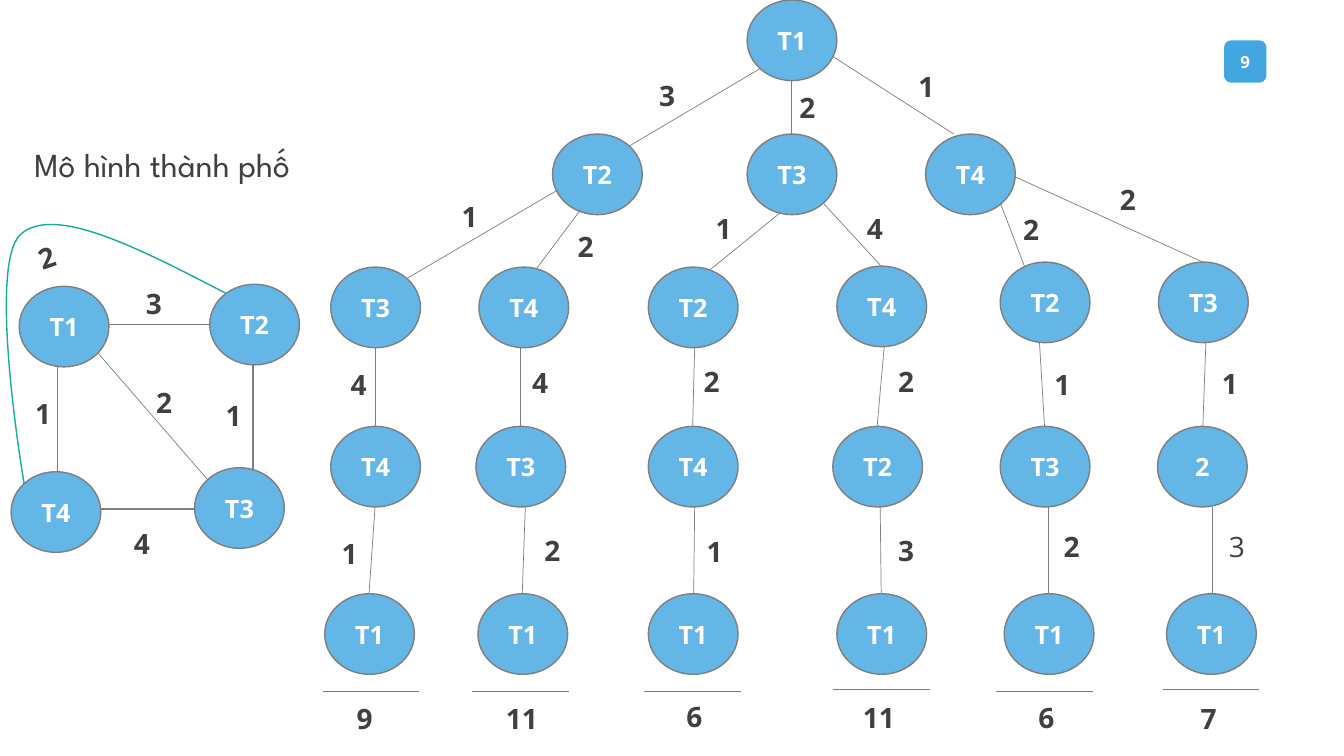
from lxml import etree
from pptx import Presentation
from pptx.dml.color import RGBColor
from pptx.enum.shapes import MSO_CONNECTOR, MSO_SHAPE
from pptx.enum.text import MSO_ANCHOR, PP_ALIGN
from pptx.oxml.ns import qn
from pptx.util import Inches, Pt

STRAIGHT = MSO_CONNECTOR.STRAIGHT
OVAL, RECT, ROUNDED = MSO_SHAPE.OVAL, MSO_SHAPE.RECTANGLE, MSO_SHAPE.ROUNDED_RECTANGLE
LEFT, CENTER = PP_ALIGN.LEFT, PP_ALIGN.CENTER
TOP, MIDDLE = MSO_ANCHOR.TOP, MSO_ANCHOR.MIDDLE

# City map: label, left, top
CITY_NODES = [("T1", 0.19, 2.84), ("T2", 2.08, 2.82),
              ("T4", 0.11, 4.68), ("T3", 1.93, 4.64)]
# Distance, left, top, rotation
CITY_WEIGHTS = [("1", 0.25, 3.88, 0), ("2", 0.28, 2.3, -19.2), ("1", 2.14, 3.9, 0),
                ("3", 1.35, 2.79, 0), ("2", 1.45, 3.78, 0), ("4", 1.23, 5.17, 0)]
# Outer road T2-T4 as cubic curves: start, two controls, end
CITY_ROAD = [((2.24, 2.91), (1.39, 2.47), (0.53, 2.02), (0.2, 2.33)),
             ((0.2, 2.33), (-0.13, 2.65), (0.24, 4.8), (0.24, 4.8))]

# Top of the search tree: label, left, top
TREE_NODES = [("T1", 7.41, 0), ("T2", 5.48, 1.33), ("T3", 7.41, 1.33), ("T4", 9.18, 1.33)]
# Start, end, weight, place of the weight
TREE_EDGES = [
    ((7.54, 0.68), (6.24, 1.45), "3", (6.44, 0.73)),
    ((7.85, 0.8), (7.85, 1.33), "2", (7.83, 0.85)),
    ((8.26, 0.56), (9.46, 1.33), "1", (9.01, 0.64)),
    ((5.54, 1.88), (4.04, 2.76), "1", (4.48, 1.93)),
    ((5.76, 2.08), (5.31, 2.68), "2", (5.63, 2.23)),
    ((7.74, 2.11), (7.05, 2.67), "1", (7, 2.05)),
    ((8.16, 2.01), (8.74, 2.64), "4", (8.5, 2.05)),
    ((9.92, 2.01), (10.16, 2.64), "2", (10.05, 2.06)),
    ((10.08, 1.76), (11.93, 2.6), "2", (11.01, 1.76)),
]

# Branches: top of first node, (label, left) of three nodes,
# two edges (x start, x end, weight, weight left, weight top),
# total (text, left, top), rule under the branch (left, y)
BRANCHES = [
    (2.65, [("T3", 3.28), ("T4", 3.28), ("T1", 3.22)],
     [(3.72, 3.72, "4", 3.38, 3.6), (3.72, 3.66, "1", 3.29, 5.27)],
     ("9", 3.44, 6.91), (3.2, 6.86)),
    (2.65, [("T4", 4.75), ("T3", 4.72), ("T1", 4.74)],
     [(5.16, 5.16, "4", 5.18, 3.58), (5.21, 5.18, "2", 5.3, 5.24)],
     ("11", 4.92, 6.91), (4.68, 6.86)),
    (2.65, [("T2", 6.43), ("T4", 6.43), ("T1", 6.43)],
     [(6.89, 6.87, "2", 6.88, 3.57), (6.89, 6.88, "1", 6.91, 5.25)],
     ("6", 6.71, 6.89), (6.39, 6.86)),
    (2.64, [("T4", 8.3), ("T2", 8.26), ("T1", 8.3)],
     [(8.77, 8.7, "2", 8.81, 3.57), (8.73, 8.74, "3", 8.81, 5.24)],
     ("11", 8.46, 6.9), (8.26, 6.84)),
    (2.6, [("T2", 9.92), ("T3", 9.92), ("T1", 9.96)],
     [(10.31, 10.36, "1", 10.36, 3.6), (10.4, 10.4, "2", 10.45, 5.2)],
     ("6", 10.2, 6.9), (9.88, 6.86)),
    (2.6, [("T3", 11.49), ("2", 11.48), ("T1", 11.57)],
     [(11.96, 11.93, "1", 12.02, 3.59), (12.02, 12.02, "3", 12.09, 5.2)],
     ("7", 11.81, 6.91), (11.53, 6.84)),
]
MIDDLE_TOP, LAST_TOP = 4.23, 5.89
NODE_W, NODE_H = 0.89, 0.8
RULE_W = 0.96


def rgb(color):
    return RGBColor.from_string(color)


def write(tf, text, size=20, color="404040", font="Open Sans", bold=True,
          align=LEFT, anchor=TOP, inset=(0.1, 0.05)):
    tf.word_wrap = True
    tf.vertical_anchor = anchor
    tf.margin_left = tf.margin_right = Inches(inset[0])
    tf.margin_top = tf.margin_bottom = Inches(inset[1])
    p = tf.paragraphs[0]
    p.alignment = align
    r = p.add_run()
    r.text = text
    r.font.size, r.font.name, r.font.bold = Pt(size), font, bold
    r.font.color.rgb = rgb(color)


def bezier(a, b, c, d, t):
    """Point of a cubic curve at t, in slide units."""
    u = 1 - t
    return tuple(Inches(u**3 * a[i] + 3 * u * u * t * b[i] + 3 * u * t * t * c[i] + t**3 * d[i])
                 for i in (0, 1))


class Board:
    NODE, GREY, WHITE, BADGE, ROAD = "64B6E7", "7F7F7F", "FFFFFF", "42A6E3", "15ABA0"

    def __init__(self, slide):
        self.slide = slide
        self.shapes = slide.shapes

    def title(self, text, x, y, w, h):
        sp = self.shapes.title
        sp.left, sp.top, sp.width, sp.height = map(Inches, (x, y, w, h))
        write(sp.text_frame, text, size=24, font="League Spartan", bold=False)

    def shape(self, kind, x, y, w, h, fill, line=None):
        sp = self.shapes.add_shape(kind, *map(Inches, (x, y, w, h)))
        sp.shadow.inherit = False
        sp.fill.solid()
        sp.fill.fore_color.rgb = rgb(fill)
        if line:
            sp.line.color.rgb = rgb(line)
            sp.line.width = Pt(1)
        else:
            sp.line.fill.background()
        return sp

    def badge(self, text, x, y, side):
        sp = self.shape(ROUNDED, x, y, side, side, self.BADGE)
        write(sp.text_frame, text, size=12, color=self.WHITE, align=CENTER,
              anchor=MIDDLE, inset=(0, 0))

    def node(self, text, x, y):
        sp = self.shape(OVAL, x, y, NODE_W, NODE_H, self.NODE, self.GREY)
        write(sp.text_frame, text, size=18, color=self.WHITE, align=CENTER,
              anchor=MIDDLE, inset=(0, 0))

    def label(self, text, x, y, rotation=0, bold=True):
        sp = self.shapes.add_textbox(*map(Inches, (x, y, 0.56, 0.44)))
        sp.rotation = rotation
        write(sp.text_frame, text, bold=bold)

    def line(self, start, end):
        cn = self.shapes.add_connector(STRAIGHT, *map(Inches, (*start, *end)))
        cn.line.color.rgb = rgb(self.GREY)
        cn.line.width = Pt(0.5)
        etree.SubElement(cn._element.spPr, qn("a:effectLst"))

    def curve(self, segments, steps=32):
        points = [bezier(*seg, i / steps) for seg in segments for i in range(1, steps + 1)]
        fb = self.shapes.build_freeform(*map(Inches, segments[0][0]))
        fb.add_line_segments(points, close=False)
        sp = fb.convert_to_shape()
        sp.shadow.inherit = False
        sp.fill.background()
        sp.line.color.rgb = rgb(self.ROAD)
        sp.line.width = Pt(1)


def main():
    prs = Presentation()
    prs.slide_width, prs.slide_height = Inches(13.33), Inches(7.5)
    board = Board(prs.slides.add_slide(prs.slide_layouts[5]))

    # Title and page number
    board.title("Mô hình thành phố", 0.24, 1.38, 3.43, 0.5)
    board.badge("9", 12.14, 0.4, 0.42)

    # City map
    board.shape(RECT, 0.57, 3.22, 1.94, 1.83, Board.WHITE, Board.GREY)
    for node in CITY_NODES:
        board.node(*node)
    board.line((0.97, 3.5), (2.06, 4.76))
    board.curve(CITY_ROAD)
    for weight in CITY_WEIGHTS:
        board.label(*weight)

    # Top of the search tree
    for node in TREE_NODES:
        board.node(*node)
    for start, end, weight, place in TREE_EDGES:
        board.line(start, end)
        board.label(weight, *place)

    # Branches with their totals
    for first_top, nodes, edges, total, (rule_x, rule_y) in BRANCHES:
        tops = (first_top, MIDDLE_TOP, LAST_TOP)
        for (text, x), top in zip(nodes, tops):
            board.node(text, x, top)
        for (x1, x2, weight, x, y), top, next_top in zip(edges, tops, tops[1:]):
            board.line((x1, top + NODE_H), (x2, next_top))
            board.label(weight, x, y, bold=x != 12.09)  # last weight is regular
        board.line((rule_x, rule_y), (rule_x + RULE_W, rule_y))
        board.label(*total)

    prs.save("out.pptx")


if __name__ == "__main__":
    main()
